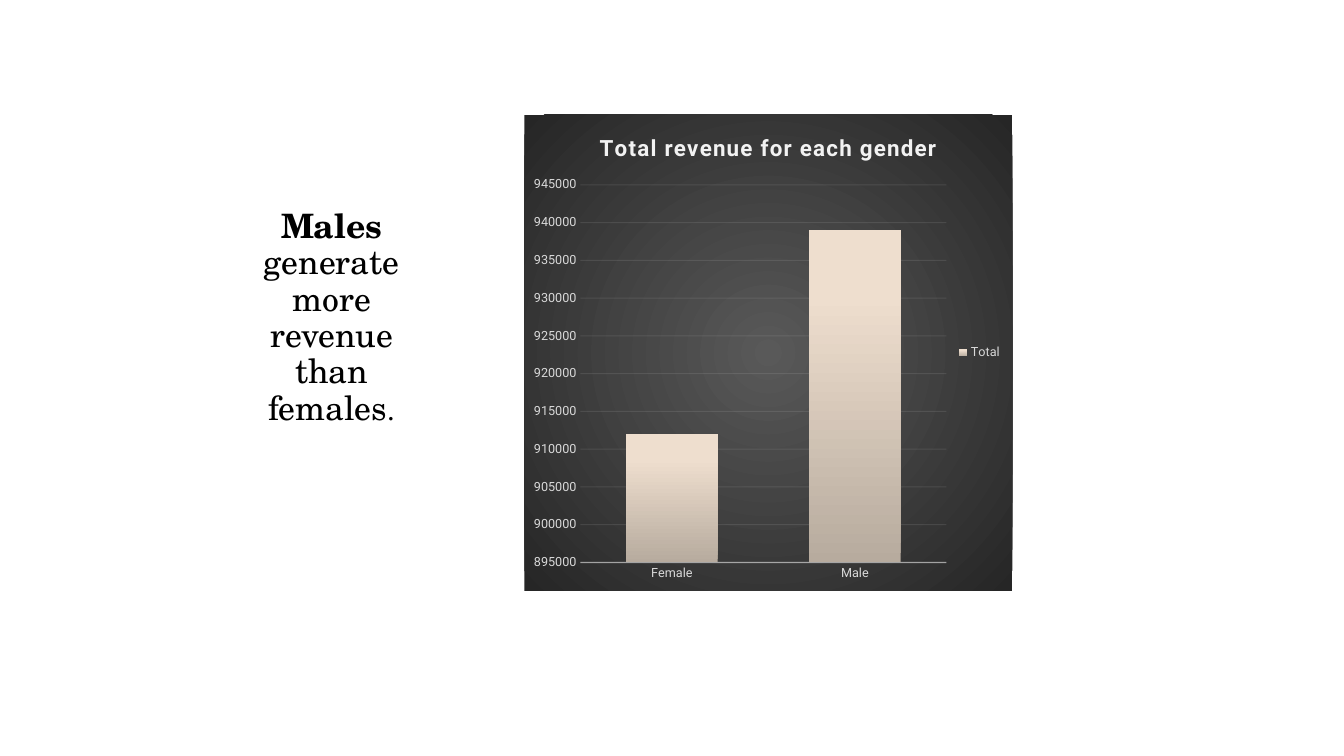
from dataclasses import dataclass

from lxml.etree import SubElement
from pptx import Presentation
from pptx.chart.data import CategoryChartData
from pptx.dml.color import RGBColor
from pptx.enum.chart import XL_CHART_TYPE, XL_LEGEND_POSITION, XL_TICK_MARK
from pptx.enum.text import MSO_ANCHOR, MSO_AUTO_SIZE, PP_ALIGN
from pptx.oxml import parse_xml
from pptx.oxml.ns import nsdecls, qn
from pptx.util import Inches, Pt

COLORS = {
    "black": "000000",
    "label": "D9D9D9",
    "light": "F2F2F2",
    "center": "595959",
    "edge": "262626",
    "bar_bottom": "B7AB9E",
    "bar_middle": "EEDECE",
    "bar_top": "F0DFCE",
}
TITLE_FONT = "TeX Gyre Schola"
CHART_FONT = "Roboto"
RADIAL = (
    '<a:path path="circle"><a:fillToRect l="50000" t="50000" '
    'r="50000" b="50000"/></a:path>'
)
UPWARD = '<a:lin ang="16200000" scaled="0"/>'


@dataclass
class TitleRun:
    text: str
    size: int
    bold: bool


@dataclass
class GradientStop:
    percent: int
    color: str


TITLE_RUNS = [
    TitleRun("Males", 24, True),
    TitleRun(" generate more revenue than females", 24, False),
    TitleRun(".", 20, False),
]
BACKGROUND_STOPS = [GradientStop(0, "center"), GradientStop(100, "edge")]
BAR_STOPS = [
    GradientStop(0, "bar_bottom"),
    GradientStop(80, "bar_middle"),
    GradientStop(100, "bar_top"),
]
REVENUE = {"Female": 912000, "Male": 939000}
PLOT_LAYOUT = {"x": 0.115, "y": 0.147, "w": 0.75, "h": 0.794}


def set_values(target, values: dict) -> None:
    for name, value in values.items():
        setattr(target, name, value)


def format_font(font, name: str, size: int, color: str, bold: bool = False) -> None:
    set_values(font, {"name": name, "size": Pt(size), "bold": bold})
    font.color.rgb = RGBColor.from_string(COLORS[color])


def format_line(line, width: float, opacity: int) -> None:
    line.width = Pt(width)
    line.color.rgb = RGBColor.from_string(COLORS["light"])
    color = line.fill._xPr.find(f"{qn('a:solidFill')}/{qn('a:srgbClr')}")
    SubElement(color, qn("a:alpha"), val=str(opacity * 1000))


def gradient(stops: list[GradientStop], direction: str) -> str:
    entries = "".join(
        f'<a:gs pos="{stop.percent * 1000}"><a:srgbClr val="{COLORS[stop.color]}"/></a:gs>'
        for stop in stops
    )
    return (
        f'<c:spPr {nsdecls("c", "a")}><a:gradFill rotWithShape="1">'
        f"<a:gsLst>{entries}</a:gsLst>{direction}</a:gradFill>"
        "<a:ln><a:noFill/></a:ln></c:spPr>"
    )


def add_title(slide) -> None:
    title = slide.shapes.title
    set_values(title, {
        "left": Inches(2.19), "top": Inches(2.03),
        "width": Inches(2.2), "height": Inches(5.01),
    })
    set_values(title.text_frame, {
        "word_wrap": True,
        "auto_size": MSO_AUTO_SIZE.NONE,
        "vertical_anchor": MSO_ANCHOR.TOP,
    })
    paragraph = title.text_frame.paragraphs[0]
    set_values(paragraph, {
        "alignment": PP_ALIGN.CENTER, "line_spacing": 0.9, "space_before": Pt(0),
    })
    for item in TITLE_RUNS:
        run = paragraph.add_run()
        run.text = item.text
        format_font(run.font, TITLE_FONT, item.size, "black", item.bold)


def format_axes(chart) -> None:
    for axis in (chart.category_axis, chart.value_axis):
        set_values(axis, {
            "major_tick_mark": XL_TICK_MARK.NONE,
            "minor_tick_mark": XL_TICK_MARK.NONE,
        })
        format_font(axis.tick_labels.font, CHART_FONT, 9, "label")
    format_line(chart.category_axis.format.line, 1, 54)
    set_values(chart.value_axis, {
        "minimum_scale": 895000,
        "maximum_scale": 945000,
        "major_unit": 5000,
        "has_major_gridlines": True,
    })
    chart.value_axis.format.line.fill.background()
    format_line(chart.value_axis.major_gridlines.format.line, 0.75, 10)


def format_plot(chart) -> None:
    plot = chart.plots[0]
    set_values(plot, {"gap_width": 100, "overlap": -24, "vary_by_categories": False})
    series = plot.series[0]
    series.format.fill.background()
    properties = series._element.find(qn("c:spPr"))
    properties.getparent().replace(properties, parse_xml(gradient(BAR_STOPS, UPWARD)))

    plot_area = chart._chartSpace.chart.plotArea
    for layout in plot_area.findall(qn("c:layout")):
        plot_area.remove(layout)
    layout = parse_xml(f'<c:layout {nsdecls("c")}/>')
    manual = SubElement(layout, qn("c:manualLayout"))
    SubElement(manual, qn("c:layoutTarget"), val="inner")
    for side in ("x", "y"):
        SubElement(manual, qn(f"c:{side}Mode"), val="edge")
    for side, fraction in PLOT_LAYOUT.items():
        SubElement(manual, qn(f"c:{side}"), val=str(fraction))
    plot_area.insert(0, layout)


def add_revenue_chart(slide) -> None:
    data = CategoryChartData()
    data.categories = list(REVENUE)
    data.add_series("Total", list(REVENUE.values()))
    chart = slide.shapes.add_chart(
        XL_CHART_TYPE.COLUMN_CLUSTERED,
        Inches(5.2), Inches(1.14), Inches(4.84), Inches(4.72), data,
    ).chart
    format_font(chart.font, CHART_FONT, 10, "black")
    chart._chartSpace.chart.addnext(parse_xml(gradient(BACKGROUND_STOPS, RADIAL)))

    set_values(chart, {"has_title": True, "has_legend": True})
    chart.chart_title.include_in_layout = False
    run = chart.chart_title.text_frame.paragraphs[0].add_run()
    run.text = "Total revenue for each gender"
    format_font(run.font, CHART_FONT, 16, "light", True)
    run._r.get_or_add_rPr().set("spc", "100")

    set_values(chart.legend, {
        "position": XL_LEGEND_POSITION.RIGHT, "include_in_layout": False,
    })
    format_font(chart.legend.font, CHART_FONT, 9, "label")
    format_axes(chart)
    format_plot(chart)


def main() -> None:
    presentation = Presentation()
    set_values(presentation, {
        "slide_width": Inches(13.33), "slide_height": Inches(7.5),
    })
    slide = presentation.slides.add_slide(presentation.slide_layouts[5])
    add_title(slide)
    add_revenue_chart(slide)
    presentation.save("out.pptx")


if __name__ == "__main__":
    main()
